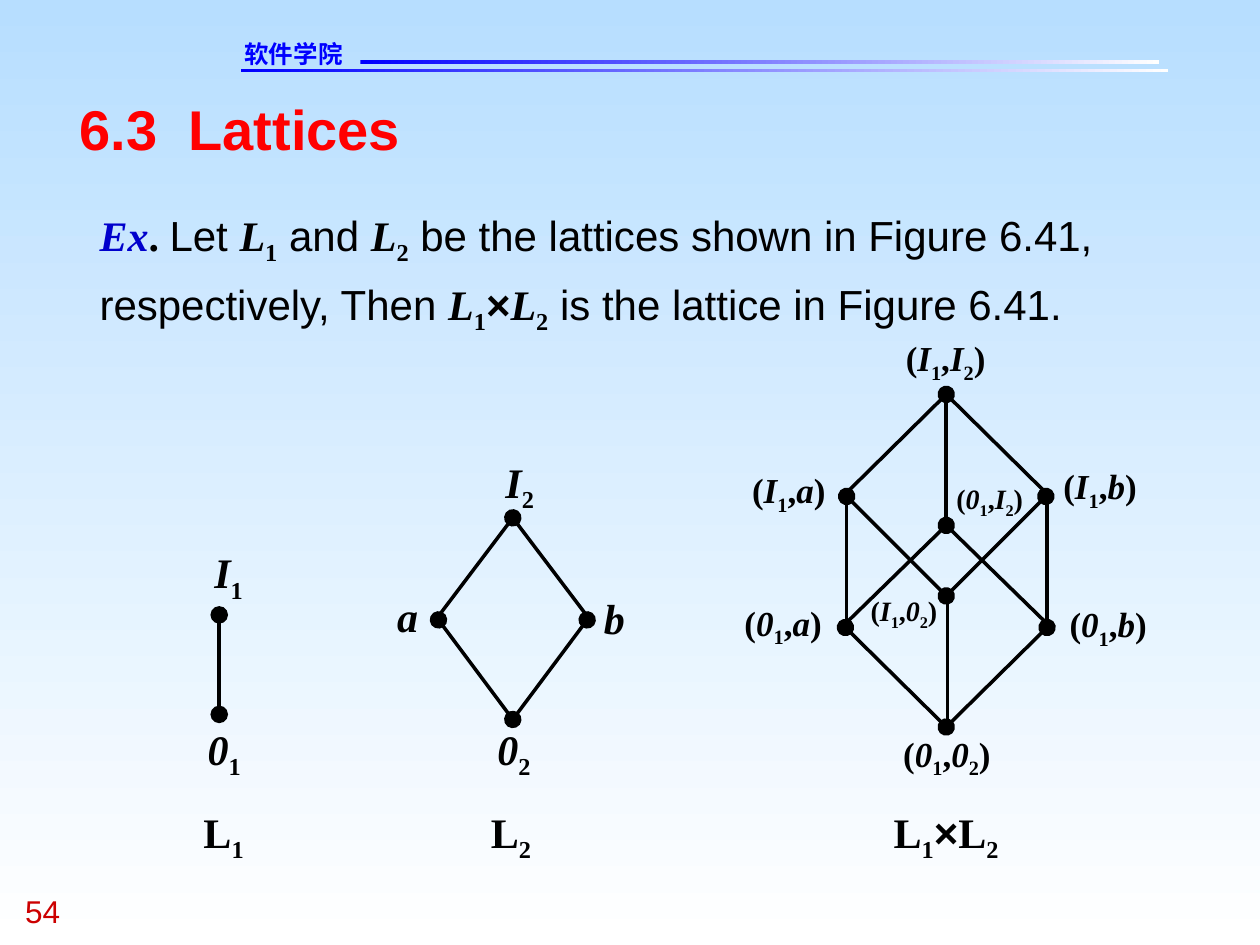
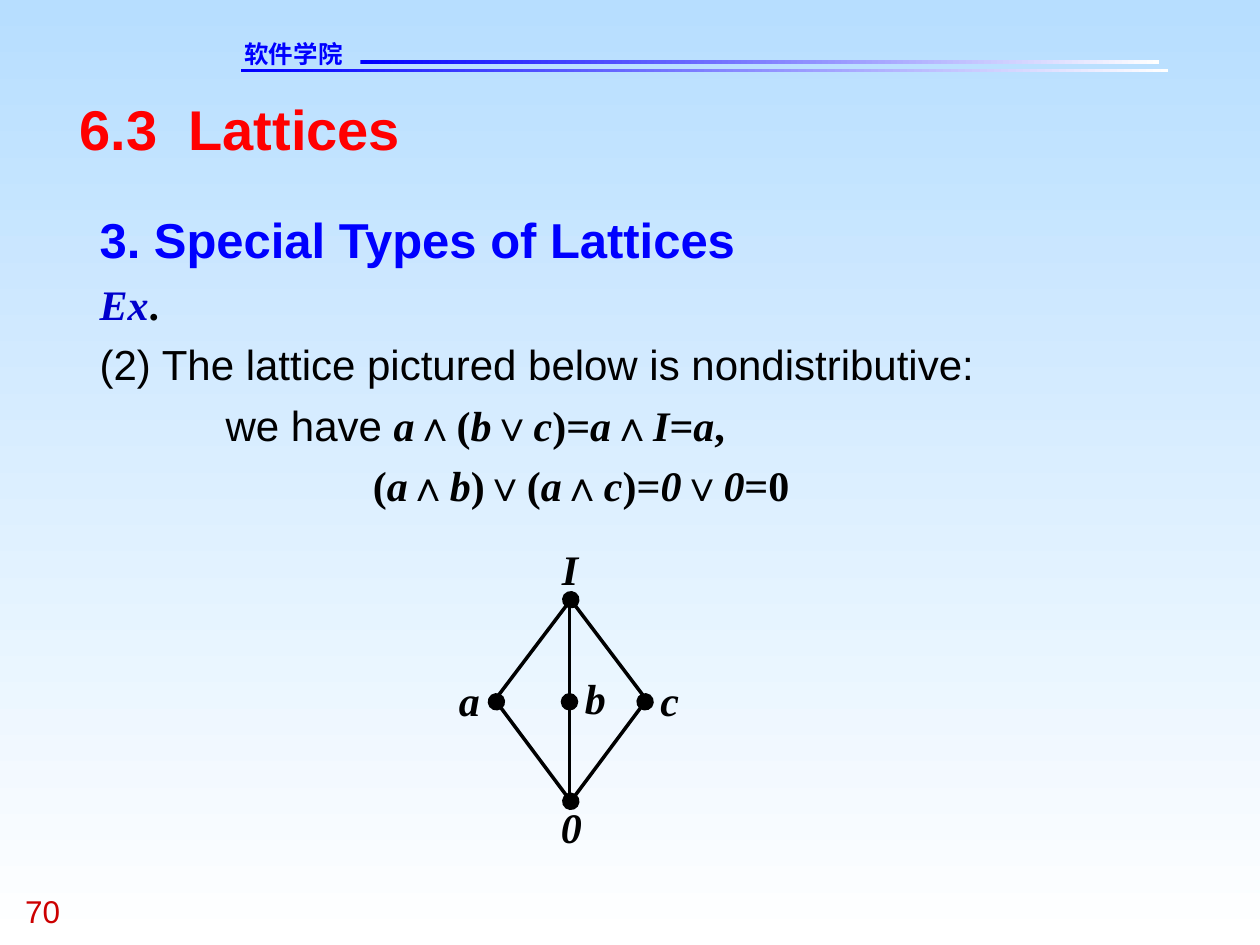
import pptx
import pptx.dml.color
import pptx.enum.shapes
import pptx.enum.text
import pptx.oxml
import pptx.oxml.ns
import pptx.util
from lxml import etree

Inches = pptx.util.Inches
qn = pptx.oxml.ns.qn
LEFT = pptx.enum.text.PP_ALIGN.LEFT
CENTER = pptx.enum.text.PP_ALIGN.CENTER

COLORS = {
    "sky": "B7DEFF", "white": "FFFFFF", "black": "000000", "blue": "0000FF",
    "ex": "0000CC", "title": "FF0000", "number": "CC0000",
}

# One-letter text styles: font, bold, italic, baseline, colour
STYLES = {
    "t": ("Times New Roman", True, False, 0, "black"),
    "i": ("Times New Roman", True, True, 0, "black"),
    "s": ("Times New Roman", True, False, -25000, "black"),
    "e": ("Times New Roman", True, True, 0, "ex"),
    "p": ("Arial", False, False, 0, "black"),
    "A": ("Arial", True, False, 0, "black"),
    "h": ("Arial", True, False, 0, "blue"),
    "T": ("Arial", True, False, 0, "title"),
    "n": ("Arial", False, False, 0, "number"),
    "d": ("DejaVu Sans", True, False, 0, "blue"),
}


def write(p, text, size):
    """Add runs from pieces parted by |, each led by its style letter."""
    for piece in text.split("|"):
        font, bold, italic, baseline, color = STYLES[piece[0]]
        r = p.add_run()
        r.text = piece[1:]
        r.font.size = pptx.util.Pt(size)
        r.font.bold, r.font.italic = bold, italic
        r.font.color.rgb = pptx.dml.color.RGBColor.from_string(COLORS[color])
        r.font.name = font
        etree.SubElement(r.font._element, qn("a:ea"), typeface=font)
        if baseline:
            r.font._element.set("baseline", str(baseline))


def fill_box(sp, box, lines, align=LEFT, wrap=True, spacing=1.0):
    """Place a text shape and write its lines of (text, size, indent)."""
    sp.left, sp.top, sp.width, sp.height = [Inches(v) for v in box]
    tf = sp.text_frame
    tf.margin_left = tf.margin_top = tf.margin_right = tf.margin_bottom = 0
    tf.vertical_anchor = pptx.enum.text.MSO_ANCHOR.TOP
    tf.auto_size = pptx.enum.text.MSO_AUTO_SIZE.SHAPE_TO_FIT_TEXT
    tf.word_wrap = wrap
    for n, (text, size, indent) in enumerate(lines):
        p = tf.add_paragraph() if n else tf.paragraphs[0]
        p.alignment = align
        p.line_spacing = spacing
        p.space_before = pptx.util.Pt(0)
        pPr = p._p.get_or_add_pPr()
        pPr.set("marL", str(Inches(indent)))
        pPr.set("indent", "0")
        etree.SubElement(pPr, qn("a:buNone"))
        write(p, text, size)


# Content of each slide
product_body = [(
    "eEx|t. |pLet |iL|s1|p and |iL|s2|p be the lattices shown in Figure 6.41, "
    "respectively, Then |iL|s1|A×|iL|s2|p is the lattice in Figure 6.41.", 24, 0)]
special_body = [
    ("h3. Special Types of Lattices", 28, 0),
    ("eEx|t.", 24, 0),
    ("p(2) The lattice pictured below is nondistributive:", 24, 0),
    ("pwe have |ia|A∧|t(|ib|A∨|ic|t)=|ia|A∧|iI|t=|ia|t,", 24, 1),
    ("t(|ia|A∧|ib|t)|A∨|t(|ia|A∧|ic|t)=|i0|A∨|i0|t=0", 24, 2.17),
]

# Diamonds: centre x, bottom y, half width (a side rises 0.79)
product_diamonds = [(4.07, 5.71, 0.59), (7.51, 5.77, 0.8), (7.51, 4.73, 0.79)]
special_diamonds = [(4.53, 6.36, 0.59)]

# Vertical edges: x, bottom y, top y, dots at (bottom, top)
product_edges = [
    (1.74, 5.67, 4.88, (True, True)),
    (6.72, 4.94, 3.95, (False, False)),
    (8.31, 4.94, 3.95, (False, False)),
    (7.52, 5.71, 4.73, (False, False)),
    (7.51, 4.14, 3.16, (False, False)),
]
special_edges = [
    (4.52, 5.56, 4.77, (False, False)),
    (4.52, 6.36, 5.57, (False, True)),
]

# Labels: left, top, width, size, text
product_labels = [
    (1.7, 4.34, 0.23, 24, "iI|s1"),
    (1.65, 5.74, 0.26, 24, "i0|s1"),
    (3.95, 5.74, 0.26, 24, "i0|s2"),
    (3.15, 4.69, 0.17, 24, "ia"),
    (4.01, 3.62, 0.23, 24, "iI|s2"),
    (4.79, 4.7, 0.17, 24, "ib"),
    (7.17, 5.81, 0.69, 20, "t(|i0|s1|t,|i0|s2|t)"),
    (7.19, 2.67, 0.63, 20, "t(|iI|s1|t,|iI|s2|t)"),
    (5.91, 4.77, 0.61, 20, "t(|i0|s1|t,|ia|t)"),
    (8.49, 4.78, 0.61, 20, "t(|i0|s1|t,|ib|t)"),
    (6.91, 4.71, 0.53, 16, "t(|iI|s1|t,|i0|s2|t)"),
    (5.97, 3.72, 0.58, 20, "t(|iI|s1|t,|ia|t)"),
    (8.44, 3.69, 0.58, 20, "t(|iI|s1|t,|ib|t)"),
    (7.59, 3.82, 0.53, 16, "t(|i0|s1|t,|iI|s2|t)"),
    (1.61, 6.4, 0.33, 24, "tL|s1"),
    (3.89, 6.4, 0.33, 24, "tL|s2"),
    (7.06, 6.4, 0.9, 24, "tL|s1|A×|tL|s2"),
]
special_labels = [
    (3.64, 5.35, 0.17, 24, "ia"),
    (4.46, 4.31, 0.13, 24, "iI"),
    (5.24, 5.35, 0.15, 24, "ic"),
    (4.45, 6.36, 0.17, 24, "i0"),
    (4.64, 5.34, 0.17, 24, "ib"),
]
LABEL_PAD = 0.1  # spare width on each side keeps a label on one line

pages = [
    ("54", (0.79, 1.57, 8.76, 1.09), product_body,
     product_diamonds, product_edges, product_labels),
    ("70", (0.79, 1.57, 8.68, 2.48), special_body,
     special_diamonds, special_edges, special_labels),
]

prs = pptx.Presentation()
prs.slide_width, prs.slide_height = Inches(10), Inches(7.5)

for number, body_box, body, diamonds, verticals, labels in pages:
    slide = prs.slides.add_slide(prs.slide_layouts[1])

    # Background and the two header rules, all gradients to white
    gradients = [(slide.background.fill, "sky", 270)]
    for box in [(1.91, 0.55, 7.36, 0.02), (2.86, 0.48, 6.34, 0.03)]:
        sp = slide.shapes.add_shape(
            pptx.enum.shapes.MSO_SHAPE.RECTANGLE, *[Inches(v) for v in box])
        sp.shadow.inherit = False
        sp.line.fill.background()
        gradients.append((sp.fill, "blue", 0))
    for fill, start, angle in gradients:
        fill.gradient()
        fill.gradient_angle = angle
        for stop, color in zip(fill.gradient_stops, (start, "white")):
            stop.color.rgb = pptx.dml.color.RGBColor.from_string(COLORS[color])

    # School name, page number, title and body
    for box, text, size in [((1.94, 0.31, 1.45, 0.23), "d软件学院", 14),
                            ((0.2, 7.08, 0.75, 0.3), "n" + number, 18)]:
        fill_box(slide.shapes.add_textbox(0, 0, 0, 0), box, [(text, size, 0)])
    title = slide.shapes.title
    fill_box(title, (0.63, 0.75, 8.75, 0.53), [("T6.3|T |TLattices", 32, 0)])
    # Widen the gap after the section number
    title.text_frame.paragraphs[0].runs[1].font._element.set("spc", "890")
    fill_box(slide.placeholders[1], body_box, body, spacing=1.2)

    # Edges of the Hasse diagrams: start, end, dots at (start, end)
    edges = [((x, low), (x, high), dots) for x, low, high, dots in verticals]
    for x, y, half in diamonds:
        edges += [
            ((x, y), (x + half, y - 0.79), (True, True)),
            ((x, y), (x - half, y - 0.79), (False, True)),
            ((x - half, y - 0.82), (x, y - 1.6), (False, True)),
            ((x + half, y - 0.82), (x, y - 1.6), (False, False)),
        ]
    for start, end, dots in edges:
        line = slide.shapes.add_connector(
            pptx.enum.shapes.MSO_CONNECTOR.STRAIGHT,
            *[Inches(v) for v in start + end])
        line.line.width = pptx.util.Pt(2)
        line.line.color.rgb = pptx.dml.color.RGBColor.from_string(COLORS["black"])
        for tag, dot in zip(("a:headEnd", "a:tailEnd"), dots):
            if dot:
                etree.SubElement(line.line._get_or_add_ln(), qn(tag),
                                 type="oval", w="lg", len="lg")
        etree.SubElement(line._element.spPr, qn("a:effectLst"))

    # Labels of the vertices and lattices
    for left, top, width, size, text in labels:
        box = (left - LABEL_PAD, top, width + 2 * LABEL_PAD, size / 60)
        fill_box(slide.shapes.add_textbox(0, 0, 0, 0), box,
                 [(text, size, 0)], CENTER, False)

prs.save("out.pptx")
